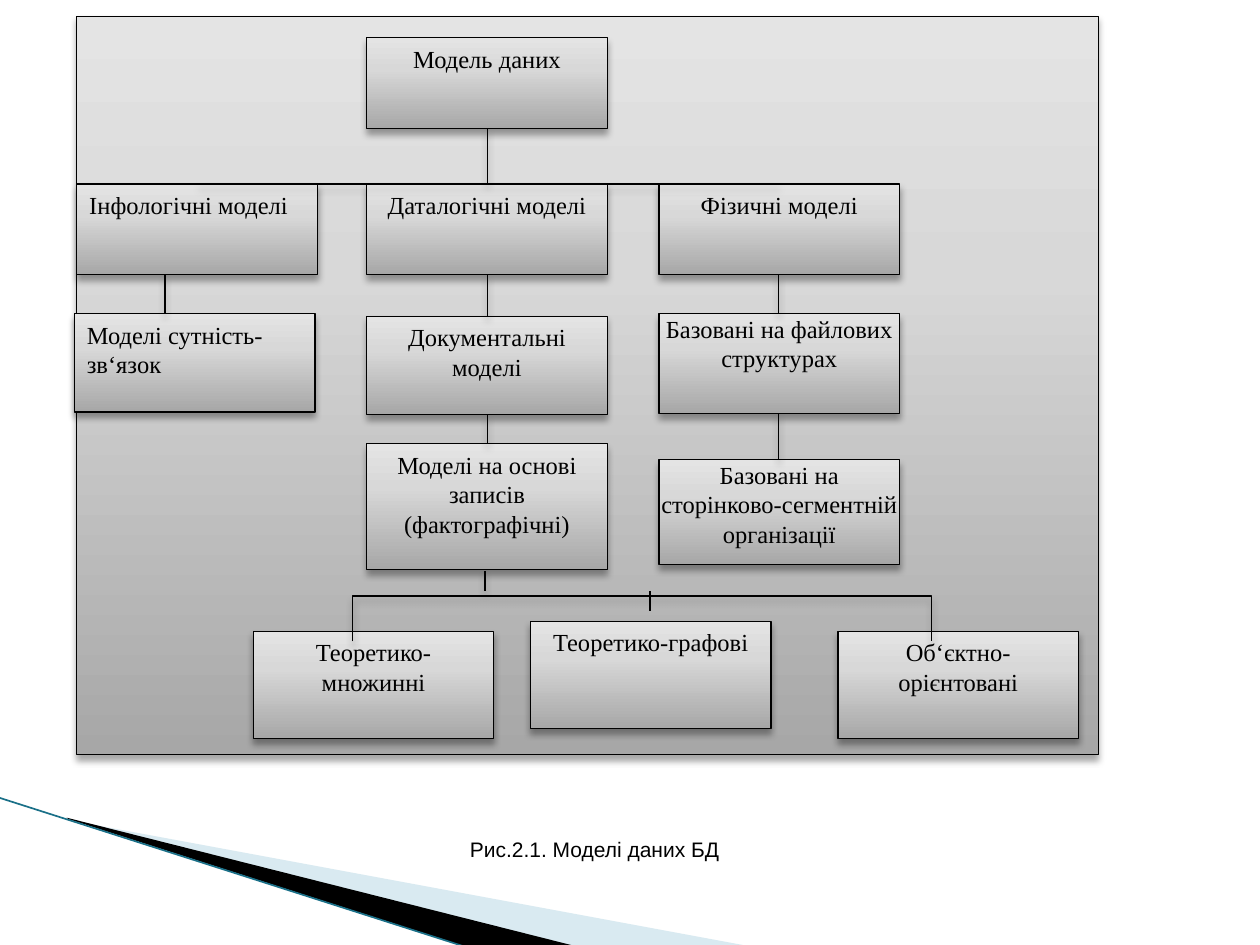
"""Build a slide with the hierarchy of database data models."""
from copy import deepcopy

from lxml import etree
from pptx import Presentation
from pptx.dml.color import RGBColor
from pptx.enum.shapes import MSO_CONNECTOR, MSO_SHAPE
from pptx.enum.text import MSO_ANCHOR, PP_ALIGN
from pptx.oxml.ns import qn
from pptx.util import Inches, Pt

COLORS = {
    "ink": "000000", "pale": "A0CBDC", "teal": "1A7088",
    "dark": "A7A7A7", "middle": "D8D8D8", "light": "E4E4E4",
}
GRADIENT = [(0, "dark"), (65, "middle"), (100, "light")]


def rgb(name):
    return RGBColor.from_string(COLORS[name])


def finish(shape, shadow=True, color="ink", width=0.75):
    shape.line.color.rgb = rgb(color)
    shape.line.width = Pt(width)
    effects = etree.SubElement(shape._element.spPr, qn("a:effectLst"))
    if shadow:
        outer = etree.SubElement(effects, qn("a:outerShdw"), blurRad=str(Pt(4)),
                                 dist=str(Pt(3)), dir="5400000", rotWithShape="0")
        tint = etree.SubElement(outer, qn("a:srgbClr"), val=COLORS["ink"])
        etree.SubElement(tint, qn("a:alpha"), val="35000")


prs = Presentation()
prs.slide_width, prs.slide_height = Inches(10), Inches(7.5)
slide = prs.slides.add_slide(prs.slide_layouts[6])
shapes = slide.shapes

wedges = [
    ("pale", 40, [(0.55, 6.51), (5.95, 7.51), (4.56, 7.51), (0.55, 6.5)]),
    ("ink", 100, [(0.53, 6.49), (4.57, 7.51), (3.72, 7.52), (0.54, 6.5)]),
]
for color, opacity, points in wedges:
    corners = [(Inches(x), Inches(y)) for x, y in points]
    builder = shapes.build_freeform(*corners[0])
    builder.add_line_segments(corners[1:])
    wedge = builder.convert_to_shape()
    wedge.fill.solid()
    wedge.fill.fore_color.rgb = rgb(color)
    tint = wedge._element.spPr.find(".//" + qn("a:srgbClr"))
    etree.SubElement(tint, qn("a:alpha"), val=str(opacity * 1000))
    wedge.line.fill.background()
    wedge.shadow.inherit = False

edge = shapes.add_connector(MSO_CONNECTOR.STRAIGHT, Inches(-0.01), Inches(6.33),
                            Inches(3.71), Inches(7.52))
finish(edge, shadow=False, color="teal", width=0.95)

BOX_W = 1.91
LEFT, CENTER, RIGHT = 0.61, 2.91, 5.23
panel = ("", LEFT, 0.13, 8.11, 5.86, None, True)
boxes = [
    ("Модель даних", CENTER, 0.3, BOX_W, 0.72, PP_ALIGN.CENTER, True),
    ("Інфологічні моделі", LEFT, 1.46, BOX_W, 0.72, PP_ALIGN.LEFT, True),
    ("Даталогічні моделі", CENTER, 1.46, BOX_W, 0.72, PP_ALIGN.CENTER, True),
    ("Фізичні моделі", RIGHT, 1.46, BOX_W, 0.72, PP_ALIGN.CENTER, True),
    ("Документальні моделі", CENTER, 2.51, BOX_W, 0.78, PP_ALIGN.CENTER, True),
    ("Моделі на основі записів (фактографічні)", CENTER, 3.52, BOX_W, 1, PP_ALIGN.CENTER, True),
    ("Теоретико-множинні", 2.01, 5.01, BOX_W, 0.85, PP_ALIGN.CENTER, True),
    ("Теоретико-графові", 4.21, 4.93, BOX_W, 0.85, PP_ALIGN.CENTER, True),
    ("Об‘єктно-орієнтовані", 6.65, 5.01, BOX_W, 0.85, PP_ALIGN.CENTER, True),
    ("Базовані на файлових структурах", RIGHT, 2.49, BOX_W, 0.79, PP_ALIGN.CENTER, False),
    ("Базовані на сторінково-сегментній організації", RIGHT, 3.65, BOX_W, 0.83,
     PP_ALIGN.CENTER, False),
    ("Моделі сутність-зв‘язок", 0.59, 2.49, BOX_W, 0.78, PP_ALIGN.LEFT, True),
]
for text, x, y, w, h, align, padded in [panel] + boxes:
    box = shapes.add_shape(MSO_SHAPE.RECTANGLE, Inches(x), Inches(y), Inches(w), Inches(h))
    box.fill.gradient()
    box.fill.gradient_angle = 90
    stops = box._element.spPr.find(".//" + qn("a:gsLst"))
    stops.append(deepcopy(stops[0]))
    for stop, (position, color) in zip(box.fill.gradient_stops, GRADIENT):
        stop.position = position / 100
        stop.color.rgb = rgb(color)
    finish(box)
    if not text:
        continue
    frame = box.text_frame
    frame.word_wrap = True
    frame.vertical_anchor = MSO_ANCHOR.TOP
    if not padded:
        frame.margin_left = frame.margin_right = frame.margin_top = frame.margin_bottom = 0
    paragraph = frame.paragraphs[0]
    paragraph.alignment = align
    run = paragraph.add_run()
    run.text = text
    run.font.name, run.font.size = "Times New Roman", Pt(14)
    run.font.color.rgb = rgb("ink")

links = [
    (1.57, 1.46, 6.18, 1.46, True),
    (3.87, 1.02, 3.87, 1.46, True),
    (3.87, 2.18, 3.87, 2.51, True),
    (3.87, 3.29, 3.87, 3.52, True),
    (3.85, 4.53, 3.85, 4.69, True),
    (1.31, 2.18, 1.31, 2.49, True),
    (6.18, 2.18, 6.18, 2.49, True),
    (6.18, 3.28, 6.18, 3.65, True),
    (5.16, 4.69, 5.16, 4.85, False),
]
for x1, y1, x2, y2, shadow in links:
    link = shapes.add_connector(MSO_CONNECTOR.STRAIGHT, Inches(x1), Inches(y1),
                                Inches(x2), Inches(y2))
    finish(link, shadow)

builder = shapes.build_freeform(Inches(2.8), Inches(5.09))
builder.add_line_segments([(Inches(x), Inches(y)) for x, y in
                           [(2.8, 4.73), (7.39, 4.73), (7.39, 5.09)]], close=False)
bracket = builder.convert_to_shape()
bracket.fill.background()
finish(bracket)

caption = shapes.add_textbox(Inches(-0.53), Inches(6.59), Inches(10), Inches(0.3))
caption.text_frame.word_wrap = True
caption.text_frame.vertical_anchor = MSO_ANCHOR.MIDDLE
paragraph = caption.text_frame.paragraphs[0]
paragraph.alignment = PP_ALIGN.CENTER
paragraph._p.get_or_add_pPr().set("indent", str(Inches(0.5)))
run = paragraph.add_run()
run.text = "Рис.2.1. Моделі даних БД"
run.font.name, run.font.size = "Arial", Pt(12)
run.font.color.rgb = rgb("ink")

prs.save("out.pptx")
